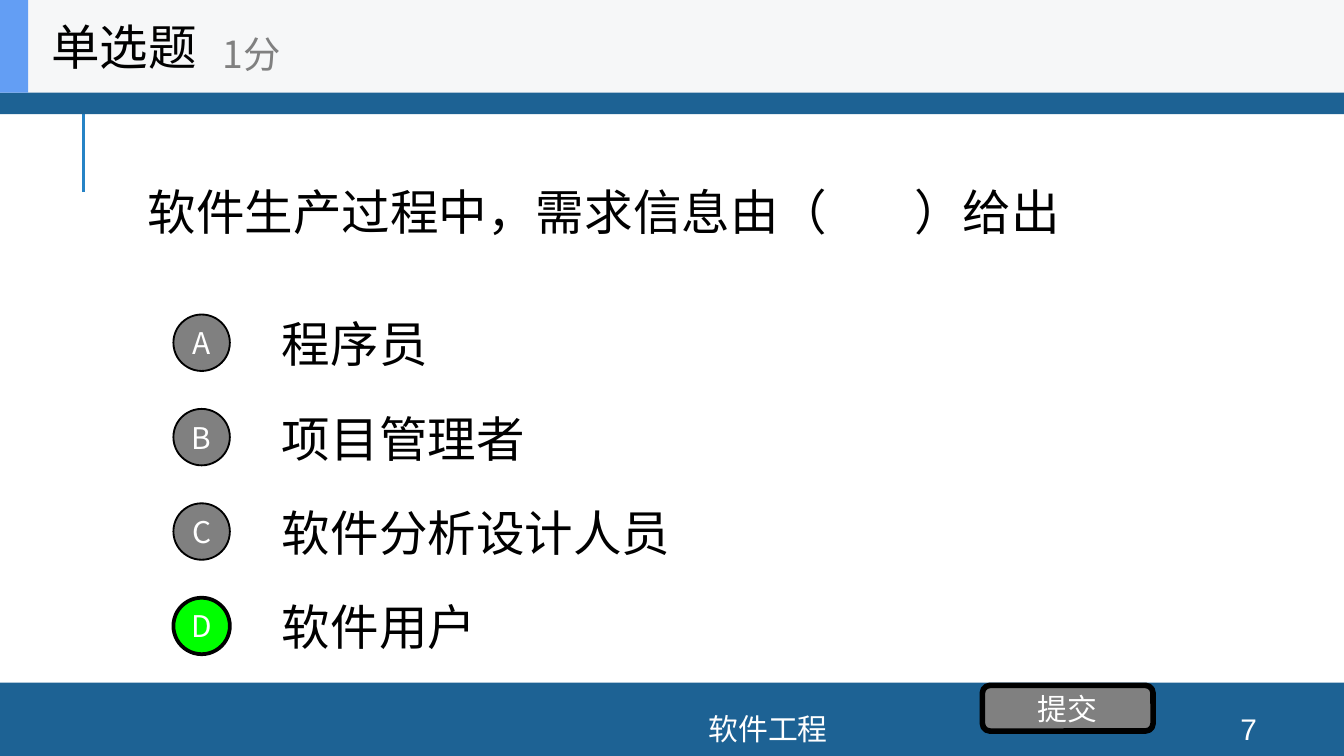
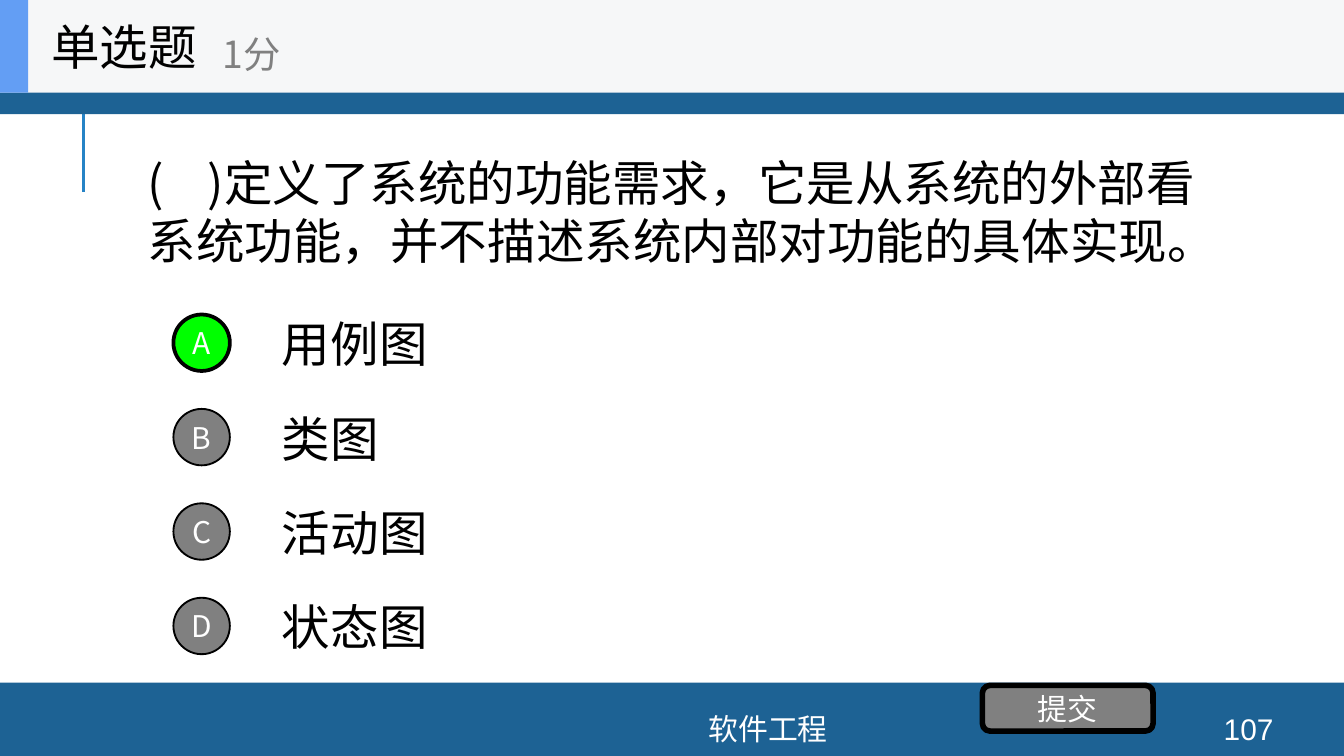
from dataclasses import dataclass
from pptx import Presentation
from pptx.dml.color import RGBColor
from pptx.enum.shapes import MSO_CONNECTOR, MSO_SHAPE
from pptx.enum.text import MSO_ANCHOR, MSO_AUTO_SIZE, PP_ALIGN
from pptx.oxml.ns import qn
from pptx.util import Inches, Pt


@dataclass(frozen=True)
class Theme:
    band: str = "1D6294"
    rule: str = "2683C6"
    panel: str = "F6F7F8"
    accent: str = "639EF4"
    grey: str = "808080"
    right: str = "00FF00"
    ink: str = "000000"
    white: str = "FFFFFF"
    face: str = "Noto Sans CJK SC"
    plain: str = "Arial"
    big: int = 26
    mid: int = 20
    small: int = 16


T = Theme()
WIDE = 10
HIGH = WIDE * 9 / 16
BODY = dict(size=T.big, color=T.ink, name=T.face)
POINTS = dict(size=T.mid, color=T.grey, name=T.face)
MARK = dict(size=T.small, color=T.white, name=T.face)
FOOT = dict(size=T.small, color=T.white, name=T.plain)

QUIZ = [
    dict(page=7, width=8, ask="软件生产过程中，需求信息由（        ）给出", answer="D",
         picks=["程序员", "项目管理者", "软件分析设计人员", "软件用户"]),
    dict(page=107, width=8.31, answer="A",
         ask="(    )定义了系统的功能需求，它是从系统的外部看系统功能，并不描述系统内部对功能的具体实现。",
         picks=["用例图", "类图", "活动图", "状态图"]),
]


def inch(*box):
    return [Inches(v) for v in box]


def write(shape, text, style, align=PP_ALIGN.LEFT, inset=None):
    frame = shape.text_frame
    form = dict(word_wrap=True, auto_size=MSO_AUTO_SIZE.NONE,
                vertical_anchor=MSO_ANCHOR.MIDDLE)
    if inset is not None:
        sides = ("left", "top", "right", "bottom")
        form.update({f"margin_{side}": Inches(inset) for side in sides})
    for key, value in form.items():
        setattr(frame, key, value)
    para = frame.paragraphs[0]
    para.alignment = align
    run = para.add_run()
    run.text = text
    run.font.name = style["name"]
    run.font.size = Pt(style["size"])
    run.font.color.rgb = RGBColor.from_string(style["color"])


def label(slide, box, text, style, align=PP_ALIGN.LEFT):
    write(slide.shapes.add_textbox(*inch(*box)), text, style, align)


def block(slide, kind, box, fill, edge=0):
    shape = slide.shapes.add_shape(kind, *inch(*box))
    shape.shadow.inherit = False
    shape.fill.solid()
    shape.fill.fore_color.rgb = RGBColor.from_string(fill)
    if edge:
        shape.line.color.rgb = RGBColor.from_string(T.ink)
        shape.line.width = Pt(edge)
    else:
        shape.line.fill.background()
    return shape


def frame(slide):
    """Draw the bands and the short rule that every slide shares."""
    rule = slide.shapes.add_connector(
        MSO_CONNECTOR.STRAIGHT, *inch(0.62, 1.43, 0.62, 0.68))
    rule.line.color.rgb = RGBColor.from_string(T.rule)
    rule.line.width = Pt(1.5)
    props = rule._element.spPr
    props.append(props.makeelement(qn("a:effectLst"), {}))
    for box in ((0, 5.08, WIDE, HIGH - 5.08), (0, -0.03, WIDE, 0.88)):
        block(slide, MSO_SHAPE.RECTANGLE, box, T.band)


def header(slide, box):
    x, y, w, h = box
    block(slide, MSO_SHAPE.RECTANGLE, box, T.panel)
    block(slide, MSO_SHAPE.RECTANGLE, (x, y, 0.21, h), T.accent)
    title = slide.shapes.title
    place = inch(x + 0.28, y, 2.08, h)
    for key, value in zip(("left", "top", "width", "height"), place):
        setattr(title, key, value)
    write(title, "单选题", BODY)
    # Bring the title in front of the panel
    slide.shapes._spTree.append(title._element)
    label(slide, (x + 1.56, y + 0.12, 2.5, 0.56), "1分", POINTS)


def footer(slide, box, page):
    x, y, w, h = box
    label(slide, (x, y, 6.21, h), "软件工程", FOOT, PP_ALIGN.CENTER)
    label(slide, (x + w - 0.8, y, 0.8, h), str(page), FOOT, PP_ALIGN.CENTER)


def choices(slide, box, picks, answer):
    x, y, w, h = box
    step = h / len(picks)
    size, indent = 0.42, 0.71
    tops = [y + row * step for row in range(len(picks))]
    for top, pick in zip(tops, picks):
        label(slide, (x + indent, top, w - indent, 0.53), pick, BODY)
    for top, mark in zip(tops, "ABCD"):
        hit = mark == answer
        dot = block(slide, MSO_SHAPE.OVAL, (x, top + 0.05, size, size),
                    T.right if hit else T.grey, 2 if hit else 1)
        write(dot, mark, MARK, PP_ALIGN.CENTER, 0)


def submit(slide, box):
    key = block(slide, MSO_SHAPE.ROUNDED_RECTANGLE, box, T.grey, 3)
    write(key, "提交", MARK, PP_ALIGN.CENTER, 0)


def question(deck, item):
    slide = deck.slides.add_slide(deck.slide_layouts[5])
    frame(slide)
    footer(slide, (2.61, 5.31, 7.08, 0.23), item["page"])
    label(slide, (1, 0.69, item["width"], 1.76), item["ask"], BODY)
    choices(slide, (1.29, 2.29, 7.71, 2.81), item["picks"], item["answer"])
    submit(slide, (7.31, 5.1, 1.27, 0.34))
    header(slide, (0, 0, WIDE, 0.69))


def main():
    deck = Presentation()
    deck.slide_width, deck.slide_height = inch(WIDE, HIGH)
    for item in QUIZ:
        question(deck, item)
    deck.save("out.pptx")


if __name__ == "__main__":
    main()
